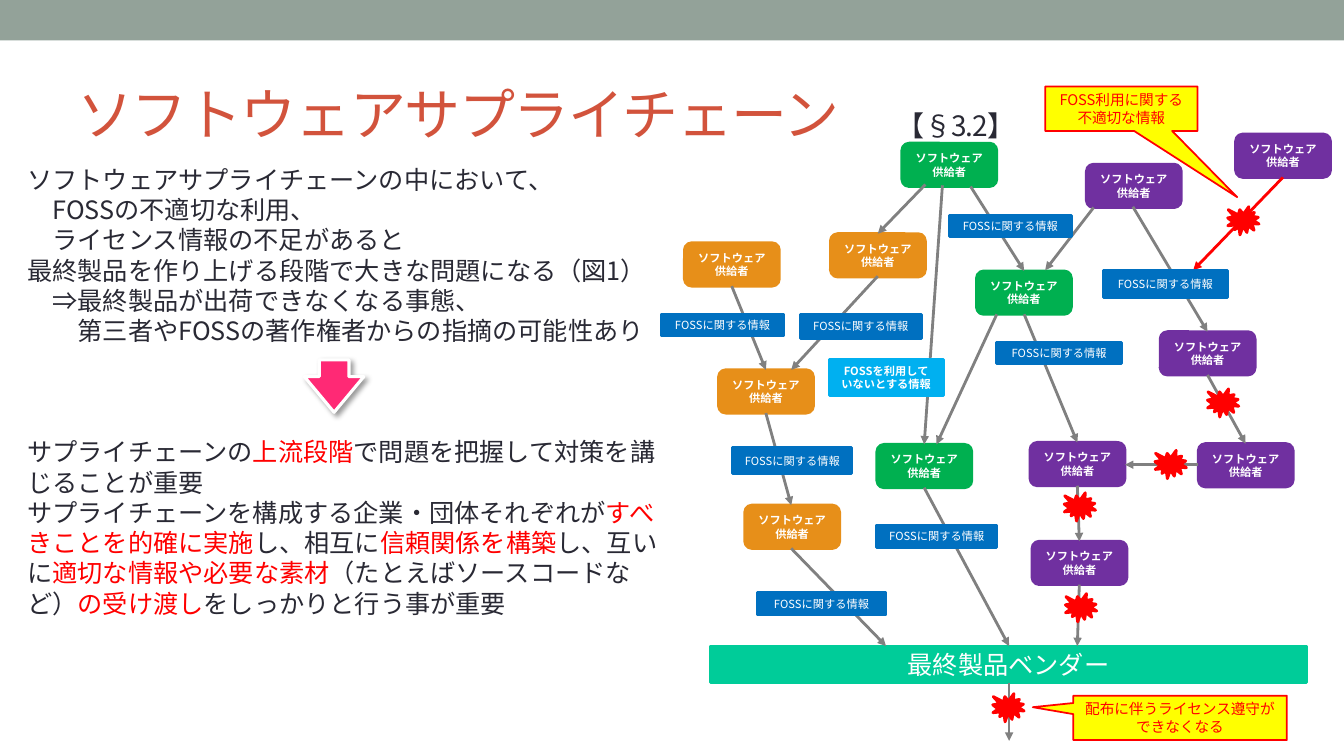
from lxml import etree
from pptx import Presentation
from pptx.dml.color import RGBColor
from pptx.enum.shapes import MSO_CONNECTOR, MSO_SHAPE
from pptx.enum.text import MSO_ANCHOR, PP_ALIGN
from pptx.oxml.ns import qn
from pptx.util import Cm, Pt

RECTANGLE = MSO_SHAPE.RECTANGLE
ROUNDED = MSO_SHAPE.ROUNDED_RECTANGLE
CALLOUT = MSO_SHAPE.RECTANGULAR_CALLOUT
BURST = MSO_SHAPE.EXPLOSION1
DOWN_ARROW = MSO_SHAPE.DOWN_ARROW
STRAIGHT = MSO_CONNECTOR.STRAIGHT
MIDDLE = MSO_ANCHOR.MIDDLE
CENTER = PP_ALIGN.CENTER

COLORS = {
    "band": "93A299", "title": "D2533C", "text": "292934", "white": "FFFFFF",
    "orange": "E78F19", "green": "00B050", "purple": "7030A0", "gray": "808080",
    "red": "FF0000", "blue": "0070C0", "sky": "00B0F0", "yellow": "FFFF00",
    "teal": "00CC99", "pink": "FF2975",
}
COLORS = {name: RGBColor.from_string(value) for name, value in COLORS.items()}
JAPANESE_FONT = "Noto Sans CJK JP"
LINE_PITCH = 1.2

presentation = Presentation()
presentation.slide_width = Cm(33.87)
presentation.slide_height = Cm(19.05)
slide = presentation.slides.add_slide(presentation.slide_layouts[6])
shapes = slide.shapes


def style_paragraph(paragraph, size, color, bold=False, latin=JAPANESE_FONT):
    """Set size, colour and both the Latin and the Japanese typeface."""
    font = paragraph.font
    font.size = Pt(size)
    font.bold = bold
    font.color.rgb = COLORS[color]
    font.name = latin
    properties = paragraph._p.pPr.find(qn("a:defRPr"))
    etree.SubElement(properties, qn("a:ea")).set("typeface", JAPANESE_FONT)


def add_box(kind, box, fill, line=None, line_width=2.08, text="", size=8,
            color="white", bold=False, latin=JAPANESE_FONT):
    """Add a filled preset shape with optional centred text; box is in cm."""
    shape = shapes.add_shape(kind, *map(Cm, box))
    shape.shadow.inherit = False
    shape.fill.solid()
    shape.fill.fore_color.rgb = COLORS[fill]
    shape.line.color.rgb = COLORS[line or fill]
    shape.line.width = Pt(line_width)
    if text:
        frame = shape.text_frame
        frame.word_wrap = True
        frame.vertical_anchor = MIDDLE
        frame.margin_left = frame.margin_right = 0
        frame.margin_top = frame.margin_bottom = 0
        paragraph = frame.paragraphs[0]
        paragraph.text = text
        paragraph.alignment = CENTER
        paragraph.line_spacing = Pt(LINE_PITCH * size)
        style_paragraph(paragraph, size, color, bold, latin)
    return shape


# Header band, title and section number
band = add_box(RECTANGLE, (0, 0, 33.87, 1.02), "band")
band.line.fill.background()

headings = [
    ("ソフトウェアサプライチェーン", (1.7, 1.47, 20.5, 2.74), 40, "title", "Arial"),
    ("【§3.2】", (22.35, 1.78, 4, 2.74), 20, "text", JAPANESE_FONT),
]
for text, box, size, color, latin in headings:
    frame = shapes.add_textbox(*map(Cm, box)).text_frame
    frame.word_wrap = True
    frame.vertical_anchor = MIDDLE
    paragraph = frame.paragraphs[0]
    run = paragraph.add_run()
    run.text = text
    run._r.get_or_add_rPr().set("spc", "-100")
    style_paragraph(paragraph, size, color, latin=latin)

# Body text: indent level, space before, and runs that alternate plain and red
body_paragraphs = [
    (0, 0, ["ソフトウェアサプライチェーンの中において、"]),
    (1, 0, ["FOSSの不適切な利用、"]),
    (1, 0, ["ライセンス情報の不足があると"]),
    (0, 0, ["最終製品を作り上げる段階で大きな問題になる（図1）"]),
    (1, 0, ["⇒最終製品が出荷できなくなる事態、"]),
    (2, 0, ["第三者やFOSSの著作権者からの指摘の可能性あり"]),
    (0, 65, ["サプライチェーンの", "上流段階", "で問題を把握して対策を講じることが重要"]),
    (0, 0, ["サプライチェーンを構成する企業・団体それぞれが", "すべきことを的確に実施",
            "し、相互に", "信頼関係を構築", "し、互いに", "適切な情報や必要な素材",
            "（たとえばソースコードなど）", "の受け渡し", "をしっかりと行う事が重要"]),
]
frame = shapes.add_textbox(Cm(0.69), Cm(4.04), Cm(15.98), Cm(9.73)).text_frame
frame.word_wrap = True
frame.margin_left = frame.margin_right = 0
frame.margin_top = frame.margin_bottom = Cm(0.1)
for index, (level, space_before, texts) in enumerate(body_paragraphs):
    paragraph = frame.add_paragraph() if index else frame.paragraphs[0]
    paragraph._p.get_or_add_pPr().set("marL", str(Pt(18 * level)))
    paragraph.line_spacing = Pt(LINE_PITCH * 18)
    if space_before:
        paragraph.space_before = Pt(space_before)
    for position, text in enumerate(texts):
        run = paragraph.add_run()
        run.text = text
        if position % 2:
            run.font.color.rgb = COLORS["red"]
    style_paragraph(paragraph, 18, "text")

# Suppliers and the final vendor
suppliers = {
    "orange": [(17.25, 6.12), (18.11, 9.32), (18.77, 12.73), (20.93, 5.89)],
    "green": [(22.73, 3.61), (22.1, 11.2), (24.61, 6.83)],
    "purple": [(25.96, 11.15), (30.2, 11.18), (29.24, 8.36), (27.38, 4.14),
               (31.14, 3.38), (26.01, 13.64)],
}
for color, places in suppliers.items():
    for left, top in places:
        add_box(ROUNDED, (left, top, 2.39, 1.09), color,
                text="ソフトウェア\n供給者", bold=True)
add_box(RECTANGLE, (17.91, 16.28, 15.01, 0.91), "teal",
        text="最終製品ベンダー", size=18, latin="Arial")

# Supply arrows
arrows = {
    "gray": [
        (18.44, 7.21, 19.3, 9.32), (22.12, 6.96, 19.94, 9.32),
        (19.3, 10.41, 19.94, 12.73), (19.94, 13.82, 22.33, 16.28),
        (23.32, 4.65, 22.12, 5.89), (23.75, 4.67, 23.29, 11.2),
        (24.46, 4.7, 25.81, 6.83), (23.29, 12.29, 25.43, 16.28),
        (25.12, 7.92, 23.6, 11.2), (25.81, 7.92, 27.15, 11.15),
        (27.56, 5.23, 26.34, 6.81), (28.55, 5.21, 30.43, 8.36),
        (30.43, 9.45, 31.39, 11.18), (30.2, 11.71, 28.35, 11.71),
        (27.15, 12.24, 27.2, 13.64), (27.2, 14.73, 27.15, 16.28),
        (25.43, 17.2, 25.43, 18.67),
    ],
    "red": [(32.33, 4.47, 30.07, 6.81)],
}
for color, routes in arrows.items():
    for route in routes:
        connector = shapes.add_connector(STRAIGHT, *map(Cm, route))
        connector.line.color.rgb = COLORS[color]
        connector.line.width = Pt(2)
        line = connector.line._get_or_add_ln()
        etree.SubElement(line, qn("a:tailEnd")).set("type", "triangle")
        etree.SubElement(connector._element.spPr, qn("a:effectLst"))

# Information labels on the arrows
information_labels = [
    (16.66, 7.92, 3.1, 0.53), (20.17, 7.92, 3.05, 0.61), (23.93, 5.44, 3.07, 0.53),
    (27.81, 6.81, 3.12, 0.69), (25.12, 8.64, 3.15, 0.53), (18.47, 11.28, 3, 0.66),
    (22.1, 13.23, 3.02, 0.56), (19.08, 14.94, 3.25, 0.56),
]
for box in information_labels:
    add_box(RECTANGLE, box, "blue", text="FOSSに関する情報")
add_box(RECTANGLE, (20.9, 9.07, 2.87, 0.89), "sky",
        text="FOSSを利用して\nいないとする情報", bold=True)

# Problems: callouts and bursts
callouts = [
    ((26.34, 2.18, 3.84, 1.12), (0.76, 1.99), "FOSS利用に関する\n不適切な情報"),
    ((27.05, 17.53, 5.38, 1.12), (-0.69, -0.24), "配布に伴うライセンス遵守ができなくなる"),
]
for box, tip, text in callouts:
    callout = add_box(CALLOUT, box, "yellow", "red", 1.25, text, 10.5, "red")
    callout.adjustments[0], callout.adjustments[1] = tip
    callout.text_frame.margin_left = callout.text_frame.margin_right = Cm(0.25)

bursts = [(30.94, 5.21), (30.43, 9.8), (29.11, 11.35), (26.82, 12.42),
          (26.85, 14.96), (25.02, 17.48)]
for left, top in bursts:
    add_box(BURST, (left, top, 0.79, 0.71), "red")

# Pink arrow between the two parts of the body text
pink_arrow = add_box(DOWN_ARROW, (7.67, 9.07, 1.5, 1.32), "pink", "white", 2.25)
pink_arrow.adjustments[1] = 0.68
effects = pink_arrow._element.spPr.find(qn("a:effectLst"))
shadow = etree.SubElement(effects, qn("a:outerShdw"), blurRad=str(Pt(4)),
                          dist=str(Pt(3)), dir="2700000", rotWithShape="0")
shadow_color = etree.SubElement(shadow, qn("a:srgbClr"), val="000000")
etree.SubElement(shadow_color, qn("a:alpha"), val="40000")

presentation.save("out.pptx")
